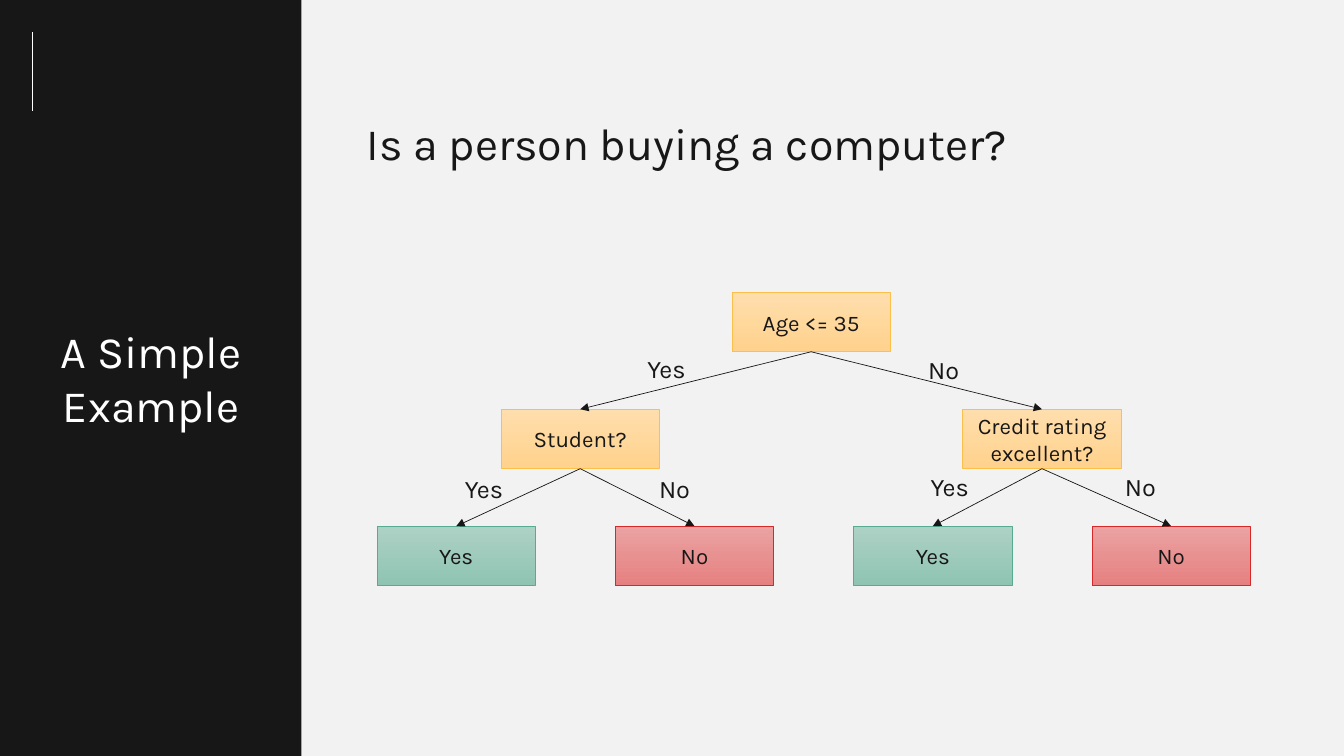
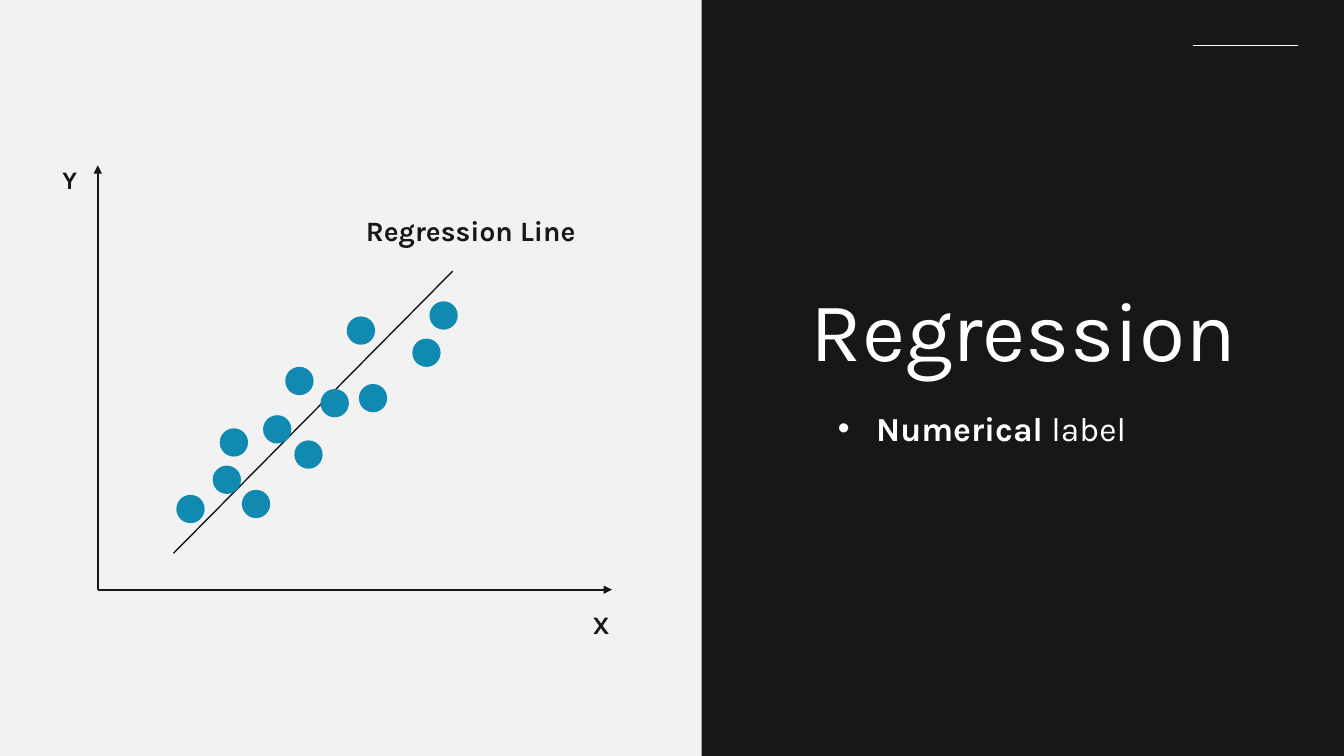
from pptx import Presentation
from pptx.dml.color import RGBColor
from pptx.enum import shapes, text
from pptx.oxml import ns, xmlchemy
from pptx.oxml.xmlchemy import OxmlElement
from pptx.util import Inches, Pt

FONT = "Karla"
INK, PAPER, WHITE, DOT = "181717", "F2F2F2", "FFFFFF", "118AB2"
STYLES = {
    "question": ("FFDEAD", "FFD28D", "FCBF49"),
    "yes": ("ADD1C5", "8FC4B2", "56AB91"),
    "no": ("EAA2A2", "E68080", "D62828"),
}
NODE_WIDTH, NODE_HEIGHT, ROW_PITCH = 1.57, 0.59, 1.16
DOT_SIZE = 0.26
POINTS = [
    (0.79, 3.28), (1.15, 2.99), (1.22, 2.62), (1.44, 3.23),
    (1.65, 2.49), (1.87, 2.01), (1.96, 2.74), (2.22, 2.23),
    (2.48, 1.51), (2.6, 2.18), (3.13, 1.73), (3.3, 1.36),
]


def colour(value):
    return RGBColor.from_string(value)


def inches(*lengths):
    return [Inches(length) for length in lengths]


def write(para, words, size=18, shade=INK, bold=False, align=None):
    span = para.add_run()
    span.text = words
    span.font.name = FONT
    span.font.size = Pt(size)
    span.font.bold = bold
    span.font.color.rgb = colour(shade)
    if align is not None:
        para.alignment = align
    return span


def add_label(page, box, words, **style):
    label = page.shapes.add_textbox(*inches(*box))
    label.text_frame.word_wrap = True
    write(label.text_frame.paragraphs[0], words, **style)


def add_box(page, kind, box, fill, line=None, weight=0.5):
    shape = page.shapes.add_shape(kind, *inches(*box))
    shape.shadow.inherit = False
    if isinstance(fill, tuple):
        shape.fill.gradient()
        shape.fill.gradient_angle = 270
        for stop, shade in zip(shape.fill.gradient_stops, fill):
            stop.color.rgb = colour(shade)
    else:
        shape.fill.solid()
        shape.fill.fore_color.rgb = colour(fill)
    if line:
        shape.line.color.rgb = colour(line)
        shape.line.width = Pt(weight)
    else:
        shape.line.fill.background()
    return shape


def add_line(page, start, end, shade=INK, weight=0.5, arrow=False):
    line = page.shapes.add_connector(
        shapes.MSO_CONNECTOR.STRAIGHT, *inches(*start, *end))
    line.line.color.rgb = colour(shade)
    line.line.width = Pt(weight)
    properties = line.element.spPr
    if arrow:
        tip = OxmlElement("a:tailEnd")
        tip.set("type", "triangle")
        properties.find(ns.qn("a:ln")).append(tip)
    properties.append(OxmlElement("a:effectLst"))
    return line


def place(holder, box, anchor):
    holder.left, holder.top, holder.width, holder.height = inches(*box)
    holder.element.getparent().append(holder.element)
    frame = holder.text_frame
    frame.word_wrap = True
    frame.auto_size = text.MSO_AUTO_SIZE.NONE
    frame.vertical_anchor = anchor
    para = frame.paragraphs[0]
    para.space_before = Pt(0)
    return para


def add_panel(page, box, rule_start, rule_end, title, title_box, size):
    left, top = box[:2]
    add_box(page, shapes.MSO_SHAPE.RECTANGLE, box, INK)
    add_line(page, (left + rule_start[0], top + rule_start[1]),
             (left + rule_end[0], top + rule_end[1]), WHITE)
    x, y, width, height = title_box
    para = place(page.shapes.title, (left + x, top + y, width, height),
                 text.MSO_ANCHOR.TOP)
    write(para, title, size=size, shade=WHITE, align=text.PP_ALIGN.CENTER)


def add_tree(page, box):
    left, top, width, _ = box
    leaf_step = (width - NODE_WIDTH) / 3
    plan = [
        ("Age <= 35", 3.52, 0, "question"),
        ("Student?", 1.23, 1, "question"),
        ("Credit rating excellent?", 5.81, 1, "question"),
    ]
    plan += [(("Yes", "No")[i % 2], i * leaf_step, 2, ("yes", "no")[i % 2])
             for i in range(4)]
    nodes = []
    for words, x, row, style in plan:
        start, end, edge = STYLES[style]
        node = add_box(
            page, shapes.MSO_SHAPE.RECTANGLE,
            (left + x, top + row * ROW_PITCH, NODE_WIDTH, NODE_HEIGHT),
            (start, end), edge)
        node.text_frame.vertical_anchor = text.MSO_ANCHOR.MIDDLE
        write(node.text_frame.paragraphs[0], words, size=16,
              align=text.PP_ALIGN.CENTER)
        nodes.append(node)
    label_places = [(2.35, 0.56), (5.1, 0.57), (0.54, 1.75),
                    (2.43, 1.75), (5.16, 1.73), (7.05, 1.73)]
    for i, (x, y) in enumerate(label_places):
        branch = add_line(page, (left, top), (left, top), arrow=True)
        branch.begin_connect(nodes[i // 2], 2)
        branch.end_connect(nodes[i + 1], 0)
        add_label(page, (left + x, top + y, 1.04, 0.4),
                  ("Yes", "No")[i % 2], align=text.PP_ALIGN.CENTER)


def add_plot(page, box):
    left, top, width, height = box
    origin = (left, top + height)
    add_line(page, origin, (left, top), weight=1.5, arrow=True)
    add_line(page, origin, (left + width, top + height), weight=1.5, arrow=True)
    add_line(page, (left + 0.75, top + 3.85), (left + 3.52, top + 1.05),
             weight=1)
    for x, y in POINTS:
        add_box(page, shapes.MSO_SHAPE.OVAL,
                (left + x, top + y, DOT_SIZE, DOT_SIZE), DOT, DOT, 1.5)
    for words, x, y, label_width, size in [
            ("X", 4.81, 4.36, 0.59, 18),
            ("Y", -0.45, -0.06, 0.59, 18),
            ("Regression Line", 2.56, 0.43, 2.54, 20)]:
        add_label(page, (left + x, top + y, label_width, 0.42), words,
                  size=size, bold=True)


def add_bullet(page, box):
    para = place(page.placeholders[1], box, text.MSO_ANCHOR.TOP)
    properties = para._p.get_or_add_pPr()
    properties.set("marL", str(Inches(0.88)))
    properties.set("indent", str(Inches(-0.38)))
    bullet = OxmlElement("a:buChar")
    bullet.set("char", "•")
    properties.append(bullet)
    write(para, "Numerical ", size=24, shade=WHITE, bold=True)
    write(para, "label", size=24, shade=WHITE)


def build_example(deck):
    page = deck.slides.add_slide(deck.slide_layouts[5])
    add_tree(page, (3.74, 2.9, 8.66, 2.91))
    add_label(page, (3.54, 1.1, 6.74, 0.64), "Is a person buying a computer?",
              size=32)
    add_panel(page, (0, 0, 2.99, 7.5), (0.32, 0.32), (0.32, 1.1),
              "A Simple Example", (0.24, 3.16, 2.52, 1.18), 32)


def build_regression(deck):
    page = deck.slides.add_slide(deck.slide_layouts[1])
    add_plot(page, (0.97, 1.64, 5.1, 4.21))
    add_panel(page, (6.96, 0, 6.37, 7.5), (5.91, 0.45), (4.87, 0.45),
              "Regression", (0.75, 2.7, 4.88, 1.1), 60)
    add_bullet(page, (7.71, 4.0, 4.88, 0.52))


def main():
    deck = Presentation()
    deck.slide_width, deck.slide_height = inches(13.33, 7.5)
    backdrop = deck.slide_master.background.fill
    backdrop.solid()
    backdrop.fore_color.rgb = colour(PAPER)
    build_example(deck)
    build_regression(deck)
    deck.save("out.pptx")


if __name__ == "__main__":
    main()
